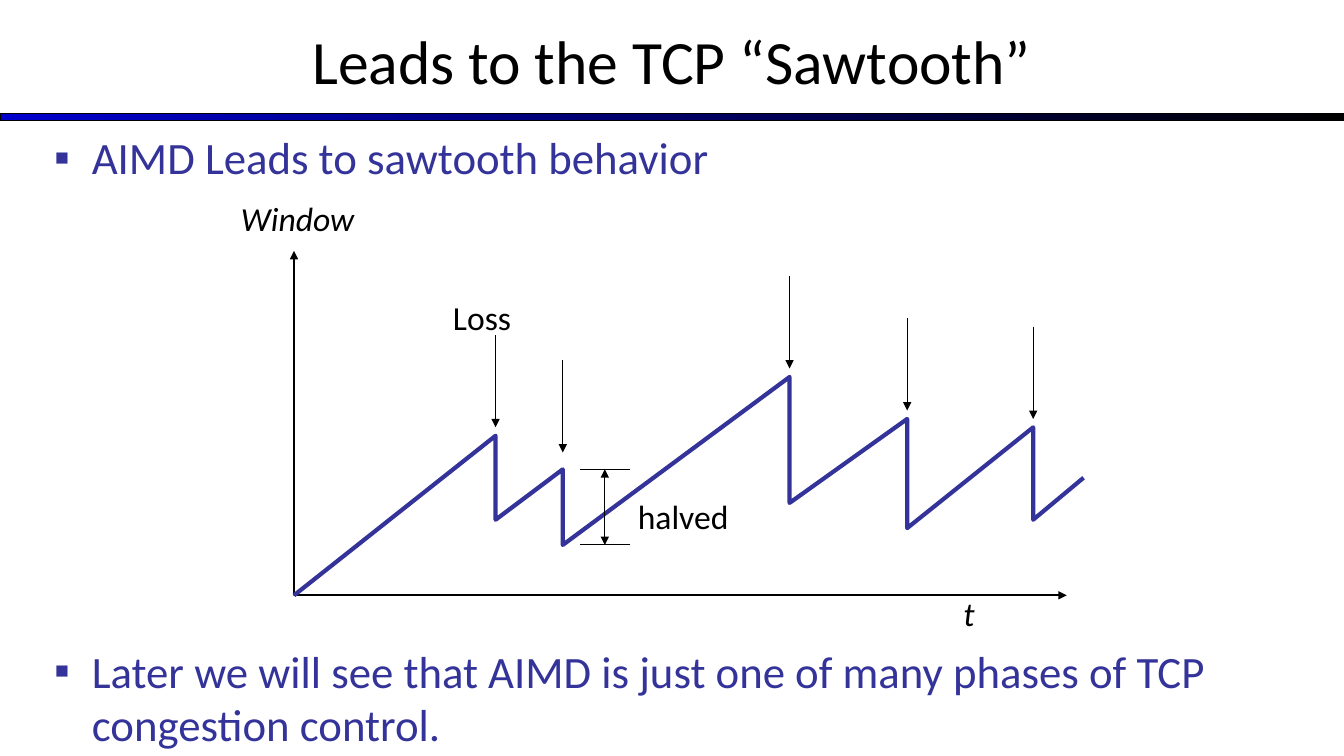
from lxml import etree
from pptx import Presentation
from pptx import util as u
from pptx.dml.color import RGBColor
from pptx.enum import shapes, text
from pptx.oxml import ns

PX = 9525
FONT = "Calibri"
BLACK = RGBColor(0x00, 0x00, 0x00)
BLUE = RGBColor(0x00, 0x00, 0xCC)
INDIGO = RGBColor(0x33, 0x33, 0x99)

LOSSES = [(192, 176, 256, 8), (256, 208, 280, 16), (472, 120, 240, 8),
          (584, 160, 264, 8), (704, 168, 256, 8)]
ARROW_LENGTH = 88


def add_text(s, box, content, size, color=BLACK, wrap=False):
    """Add a one-paragraph text box and return its text frame."""
    tf = s.shapes.add_textbox(*(v * PX for v in box)).text_frame
    tf.word_wrap = wrap
    tf.text = content
    font = tf.paragraphs[0].runs[0].font
    font.name, font.size = FONT, u.Pt(size)
    font.color.rgb = color
    return tf


def style_line(sp, color, width, ends=()):
    """Set the line of a shape and put triangles on the named ends."""
    sp.line.color.rgb = color
    sp.line.width = u.Pt(width)
    ln = sp.line._get_or_add_ln()
    for end in ends:
        etree.SubElement(ln, ns.qn(f"a:{end}"), type="triangle")


def add_line(s, x1, y1, x2, y2, ends=()):
    """Add a thin black straight line."""
    line = s.shapes.add_connector(
        shapes.MSO_CONNECTOR.STRAIGHT, x1 * PX, y1 * PX, x2 * PX, y2 * PX)
    style_line(line, BLACK, 0.75, ends)
    etree.SubElement(line._element.spPr, ns.qn("a:effectLst"))


def add_path(s, points, color, width, ends=()):
    """Add an open unfilled outline through the points."""
    builder = s.shapes.build_freeform(*points[0], scale=PX)
    builder.add_line_segments(points[1:], close=False)
    sp = builder.convert_to_shape()
    sp.fill.background()
    sp.shadow.inherit = False
    style_line(sp, color, width, ends)


def add_header(s, x, y, w, h):
    """Add the centred title and the gradient rule below it."""
    bar = s.shapes.add_shape(
        shapes.MSO_SHAPE.RECTANGLE, x * PX, (y + 111) * PX, w * PX, 7 * PX)
    bar.shadow.inherit = False
    bar.fill.gradient()
    bar.fill.gradient_angle = 0
    for stop, color in zip(bar.fill.gradient_stops, (BLUE, BLACK)):
        stop.color.rgb = color
    style_line(bar, BLACK, 0.75)
    tf = add_text(s, (x, y, w, h), "Leads to the TCP “Sawtooth”", 44, wrap=True)
    tf.vertical_anchor = text.MSO_ANCHOR.MIDDLE
    tf.paragraphs[0].alignment = text.PP_ALIGN.CENTER


def add_bullet(s, box, content):
    """Add a text box with one square-bulleted paragraph."""
    tf = add_text(s, box, content, 32, INDIGO, wrap=True)
    pPr = tf.paragraphs[0]._p.get_or_add_pPr()
    pPr.set("marL", str(36 * PX))
    pPr.set("indent", str(-36 * PX))
    color = etree.SubElement(pPr, ns.qn("a:buClr"))
    etree.SubElement(color, ns.qn("a:srgbClr"), val=str(INDIGO))
    etree.SubElement(pPr, ns.qn("a:buFont"), typeface="Arial")
    etree.SubElement(pPr, ns.qn("a:buChar"), char="▪")


def add_sawtooth(s, x, y, w, h):
    """Draw the window-over-time diagram with its axes in the given box."""
    add_path(s, [(x, y), (x, y + h), (x + w, y + h)], BLACK, 1.5,
             ("headEnd", "tailEnd"))
    curve = [(x, y + h)]
    for dx, peak, trough, _ in LOSSES:
        curve += [(x + dx, y + peak), (x + dx, y + trough)]
    curve.append((x + 752, y + 216))
    add_path(s, curve, INDIGO, 3)

    for dx, peak, _, gap in LOSSES:
        tip = y + peak - gap
        add_line(s, x + dx, tip - ARROW_LENGTH, x + dx, tip, ("tailEnd",))

    dx, peak, trough, _ = LOSSES[1]
    left = x + dx + 16
    for level in (peak, trough):
        add_line(s, left, y + level, left + 48, y + level)
    add_line(s, left + 24, y + peak, left + 24, y + trough,
             ("headEnd", "tailEnd"))

    labels = [("Window", -60, -55, 128, True), ("t", 628, 321, 30, True),
              ("Loss", 142, 39, 75, False), ("halved", 318, 229, 107, False)]
    for content, dx, dy, width, italic in labels:
        tf = add_text(s, (x + dx, y + dy, width, 48), content, 24)
        tf.paragraphs[0].runs[0].font.italic = italic


def main():
    """Build and save the slide."""
    prs = Presentation()
    prs.slide_width, prs.slide_height = 1280 * PX, 720 * PX
    s = prs.slides.add_slide(prs.slide_layouts[6])
    add_header(s, 0, -3, 1280, 120)
    add_sawtooth(s, 280, 239, 736, 328)
    add_bullet(s, (42, 119, 1194, 102), "AIMD Leads to sawtooth behavior")
    add_bullet(s, (42, 608, 1194, 102),
               "Later we will see that AIMD is just one of many phases "
               "of TCP congestion control.")
    prs.save("out.pptx")


if __name__ == "__main__":
    main()
